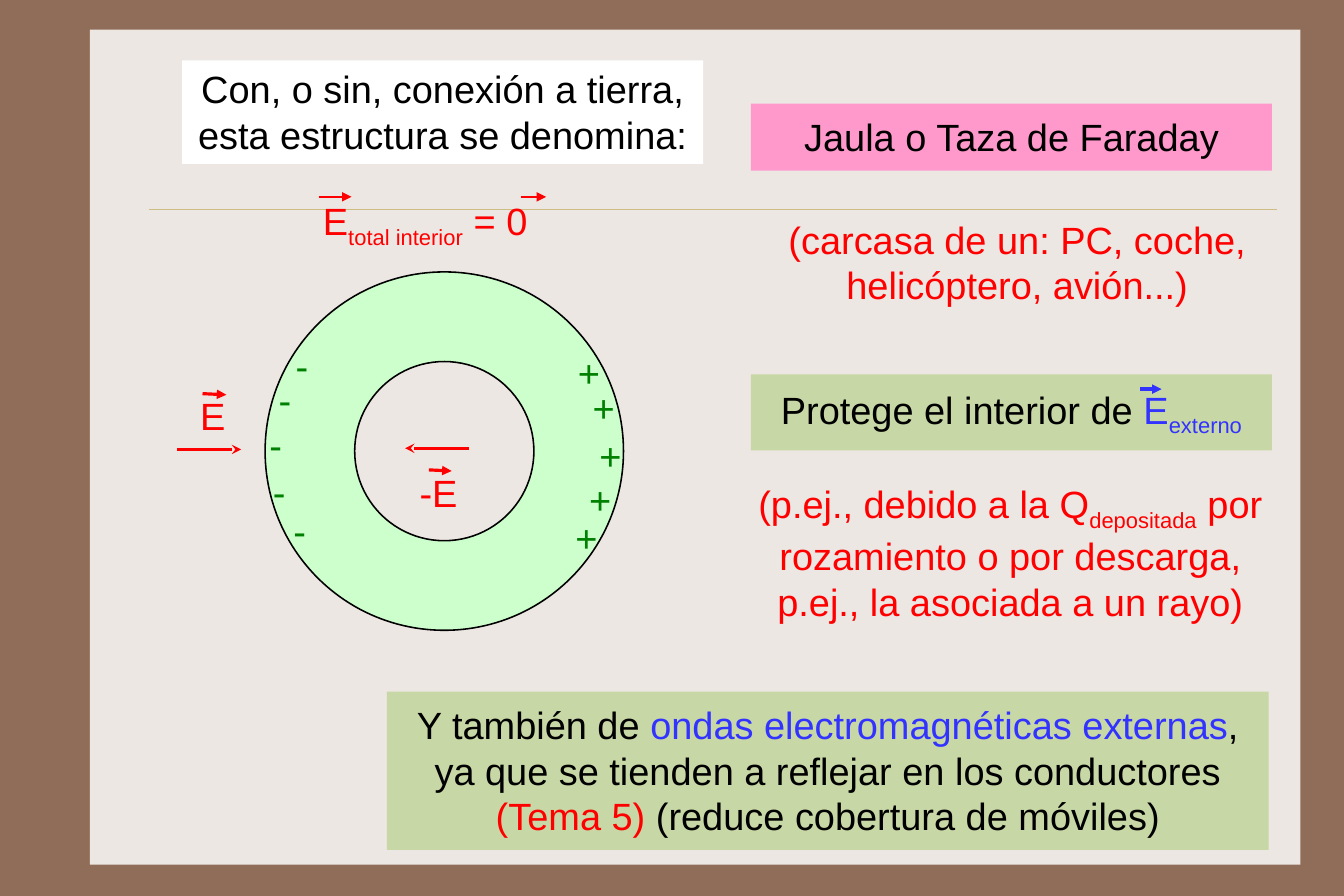
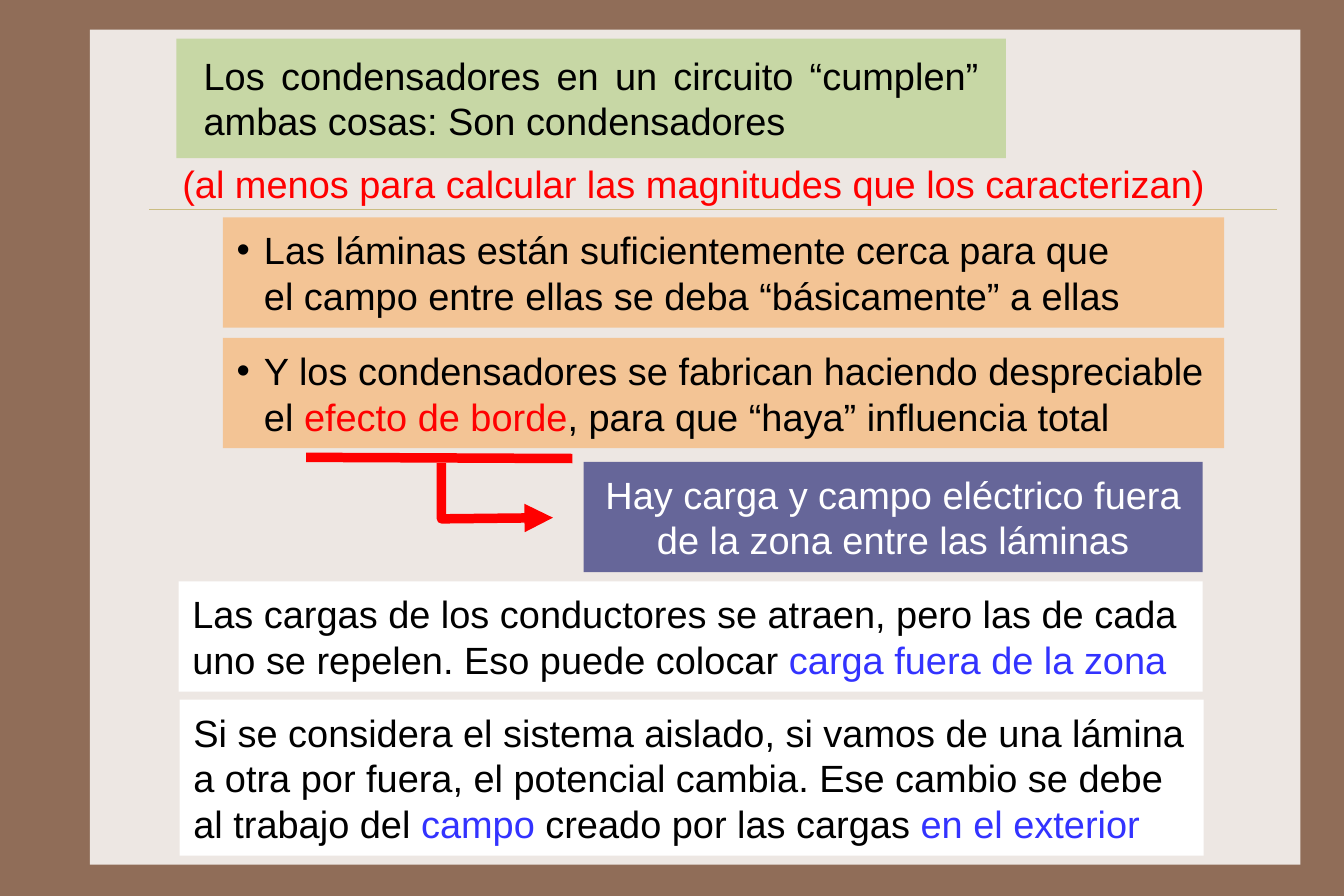
from lxml.etree import SubElement
from pptx import Presentation
from pptx.dml.color import RGBColor
from pptx.enum.shapes import MSO_CONNECTOR, MSO_SHAPE
from pptx.enum.text import MSO_ANCHOR, MSO_AUTO_SIZE, PP_ALIGN
from pptx.oxml.ns import qn
from pptx.util import Inches, Pt

FONT = "Arial"
PAGE_WIDTH = Pt(850.5)
PAGE_HEIGHT = Pt(567)
BROWN = RGBColor(0x90, 0x6D, 0x58)
CREAM = RGBColor(0xED, 0xE7, 0xE3)
SAND = RGBColor(0xCB, 0xBD, 0x83)
BLACK = RGBColor(0, 0, 0)
WHITE = RGBColor(255, 255, 255)
RED = RGBColor(255, 0, 0)
BLUE = RGBColor(0x33, 0x33, 0xFF)
GREEN = RGBColor(0, 0x80, 0)
MINT = RGBColor(0xCC, 0xFF, 0xCC)
OLIVE = RGBColor(0xC7, 0xD7, 0xA5)
PINK = RGBColor(0xFF, 0x99, 0xCC)
ORANGE = RGBColor(0xF3, 0xC4, 0x95)
VIOLET = RGBColor(0x66, 0x66, 0x99)
LINE_BREAK = "\n"
BULLET_INDENT = 0.24


def add_bullet(para):
    properties = para._p.get_or_add_pPr()
    properties.set("marL", str(Inches(BULLET_INDENT)))
    properties.set("indent", str(-Inches(BULLET_INDENT)))
    SubElement(properties, qn("a:buFont")).set("typeface", FONT)
    SubElement(properties, qn("a:buChar")).set("char", "•")


def add_span(para, text, color, subscript=False):
    span = para.add_run()
    span.text = text
    span.font.name = FONT
    span.font.size = Pt(24)
    span.font.color.rgb = color
    if subscript:
        span._r.get_or_add_rPr().set("baseline", "-25000")


def write_text(box, spans, color=BLACK, align=PP_ALIGN.LEFT,
               anchor=MSO_ANCHOR.TOP, margins=(0.1, 0.05), bullet=False):
    frame = box.text_frame
    frame.word_wrap = True
    frame.auto_size = MSO_AUTO_SIZE.NONE
    frame.vertical_anchor = anchor
    frame.margin_left = frame.margin_right = Inches(margins[0])
    frame.margin_top = frame.margin_bottom = Inches(margins[1])
    para = frame.paragraphs[0]
    para.alignment = align
    para.space_before = Pt(0)
    if bullet:
        add_bullet(para)
    para.font.size = Pt(24)
    for item in [spans] if isinstance(spans, str) else spans:
        if item == LINE_BREAK:
            para.add_line_break()
        elif isinstance(item, str):
            add_span(para, item, color)
        else:
            add_span(para, *item)


def add_label(page, place, spans, **text_format):
    box = page.shapes.add_textbox(*map(Inches, place))
    write_text(box, spans, **text_format)


def add_panel(page, place, fill, kind=MSO_SHAPE.RECTANGLE, outline=None):
    panel = page.shapes.add_shape(kind, *map(Inches, place))
    panel.shadow.inherit = False
    panel.fill.solid()
    panel.fill.fore_color.rgb = fill
    if outline is None:
        panel.line.fill.background()
    else:
        panel.line.color.rgb = outline
        panel.line.width = Pt(1)
    return panel


def add_panel_text(page, place, fill, spans, **text_format):
    write_text(add_panel(page, place, fill), spans, **text_format)


def fill_placeholder(box, place, fill, spans, **text_format):
    box.left, box.top, box.width, box.height = map(Inches, place)
    box.fill.solid()
    box.fill.fore_color.rgb = fill
    write_text(box, spans, **text_format)


def add_arrowhead(shape, head):
    outline = shape.element.spPr.find(qn("a:ln"))
    SubElement(outline, qn("a:tailEnd")).set("type", head)


def add_line(page, start, end, color, width, head=None):
    line = page.shapes.add_connector(
        MSO_CONNECTOR.STRAIGHT, *map(Inches, (*start, *end)))
    line.line.color.rgb = color
    line.line.width = Pt(width)
    if head:
        add_arrowhead(line, head)
    SubElement(line.element.spPr, qn("a:effectLst"))
    return line


def add_vector_mark(page, left, top, length, color=RED, width=2, drop=0):
    add_line(page, (left, top), (left + length, top + drop),
             color, width, "triangle")


def add_bent_arrow(page, points, color, width):
    start, *others = [tuple(map(Inches, point)) for point in points]
    builder = page.shapes.build_freeform(*start)
    builder.add_line_segments(others, close=False)
    arrow = builder.convert_to_shape()
    arrow.shadow.inherit = False
    arrow.fill.background()
    arrow.line.color.rgb = color
    arrow.line.width = Pt(width)
    add_arrowhead(arrow, "triangle")


def style_master(deck, page):
    master = deck.slide_master
    master.background.fill.solid()
    master.background.fill.fore_color.rgb = BROWN
    decorations = [
        add_panel(page, (0.79, 0.26, 10.64, 7.34), CREAM),
        add_line(page, (1.31, 1.84), (11.22, 1.84), SAND, 0.25),
    ]
    for index, shape in enumerate(decorations):
        shape.element.xpath(".//p:cNvPr")[0].set("id", str(20 + index))
        master.shapes.element.insert(2 + index, shape.element)


def draw_conductor(page):
    add_panel(page, (2.33, 2.39, 3.15, 3.15), MINT, MSO_SHAPE.DONUT, BLACK)
    charges = {
        "+": [(4.98, 3.02), (5.11, 3.33), (5.17, 3.75), (5.08, 4.14), (4.96, 4.47)],
        "-": [(2.5, 2.96), (2.35, 3.26), (2.27, 3.66), (2.3, 4.07), (2.48, 4.41)],
    }
    for sign, corners in charges.items():
        for left, top in corners:
            add_label(page, (left, top, 0.4, 0.5), sign, color=GREEN)

    add_label(page, (1.66, 3.4, 0.45, 0.43), "E", color=RED)
    add_vector_mark(page, 1.78, 3.46, 0.21, drop=0.01)
    add_line(page, (1.56, 3.95), (2.12, 3.95), RED, 2, "stealth")
    add_label(page, (3.59, 4.08, 0.6, 0.43), "-E", color=RED)
    add_vector_mark(page, 3.77, 4.13, 0.2, drop=0.01)
    add_line(page, (4.12, 3.94), (3.56, 3.94), RED, 2, "stealth")
    add_label(page, (2.74, 1.69, 2.1, 0.5),
              ["E", ("total interior", RED, True), " = 0"], color=RED)
    add_vector_mark(page, 2.8, 1.73, 0.29, width=1)
    add_vector_mark(page, 4.58, 1.73, 0.22, width=1)


def build_faraday_page(page):
    center = {"align": PP_ALIGN.CENTER}
    middle = {**center, "anchor": MSO_ANCHOR.MIDDLE, "margins": (0.1, 0.13)}
    fill_placeholder(page.shapes.title, (1.6, 0.53, 4.58, 0.91), WHITE,
                     "Con, o sin, conexión a tierra, esta estructura se denomina:",
                     **center)
    draw_conductor(page)
    add_panel_text(page, (6.6, 0.91, 4.58, 0.59), PINK,
                   "Jaula o Taza de Faraday", margins=(0.1, 0.09), **center)
    add_label(page, (6.8, 1.85, 4.28, 0.91),
              "(carcasa de un: PC, coche, helicóptero, avión...)",
              color=RED, **center)
    add_panel_text(page, (6.6, 3.29, 4.58, 0.67), OLIVE,
                   ["Protege el interior de ", ("E", BLUE), ("externo", BLUE, True)],
                   **middle)
    add_vector_mark(page, 10.02, 3.42, 0.19, BLUE)
    add_label(page, (6.41, 4.12, 4.94, 1.47),
              ["(p.ej., debido a la Q", ("depositada", RED, True),
               " por rozamiento o por descarga, p.ej., la asociada a un rayo)"],
              color=RED, **middle)
    add_panel_text(page, (3.4, 6.08, 7.75, 1.39), OLIVE,
                   ["Y también de ", ("ondas electromagnéticas externas", BLUE),
                    ", ya que se tienden a reflejar en los conductores ",
                    ("(Tema 5) ", RED), "(reduce cobertura de móviles)"],
                   margins=(0.1, 0.09), **center)


def build_capacitor_page(page):
    middle = {"anchor": MSO_ANCHOR.MIDDLE, "margins": (0.12, 0.08)}
    title, *bodies = page.placeholders
    fill_placeholder(title, (1.55, 0.34, 7.29, 1.05), OLIVE,
                     "Los condensadores en un circuito “cumplen” ambas cosas: "
                     "Son condensadores",
                     align=PP_ALIGN.JUSTIFY, margins=(0.24, 0.12))
    add_label(page, (1.42, 1.36, 9.35, 0.5),
              "(al menos para calcular las magnitudes que los caracterizan)",
              color=RED, align=PP_ALIGN.CENTER)
    conditions = [
        ["Las láminas están suficientemente cerca para que", LINE_BREAK,
         "el campo entre ellas se deba “básicamente” a ellas"],
        ["Y los condensadores se fabrican haciendo despreciable", LINE_BREAK,
         "el ", ("efecto de borde", RED), ", para que “haya” influencia total"],
    ]
    for index, (body, spans) in enumerate(zip(bodies, conditions)):
        fill_placeholder(body, (1.96, 1.91 + 1.06 * index, 8.8, 0.97), ORANGE,
                         spans, bullet=True, **middle)

    add_line(page, (2.69, 4.02), (5.03, 4.03), RED, 6)
    add_bent_arrow(page, [(3.88, 4.07), (3.88, 4.56), (4.86, 4.55)], RED, 6)
    add_panel_text(page, (5.13, 4.06, 5.44, 0.97), VIOLET,
                   "Hay carga y campo eléctrico fuera de la zona entre las láminas",
                   color=WHITE, align=PP_ALIGN.CENTER, **middle)
    add_panel_text(page, (1.57, 5.11, 9, 0.97), WHITE,
                   ["Las cargas de los conductores se atraen, pero las de cada uno "
                    "se repelen. Eso puede colocar ",
                    ("carga fuera de la zona", BLUE)], **middle)
    add_panel_text(page, (1.58, 6.15, 9, 1.37), WHITE,
                   ["Si se considera el sistema aislado, si vamos de una lámina a "
                    "otra por fuera, el potencial cambia. Ese cambio se debe al "
                    "trabajo del ", ("campo", BLUE), " creado por las cargas ",
                    ("en el exterior", BLUE)], **middle)


def main():
    deck = Presentation()
    deck.slide_width = PAGE_WIDTH
    deck.slide_height = PAGE_HEIGHT
    title_only = deck.slide_layouts.get_by_name("Title Only")
    two_content = deck.slide_layouts.get_by_name("Two Content")
    faraday_page = deck.slides.add_slide(title_only)
    style_master(deck, faraday_page)
    build_faraday_page(faraday_page)
    build_capacitor_page(deck.slides.add_slide(two_content))
    deck.save("out.pptx")


if __name__ == "__main__":
    main()
